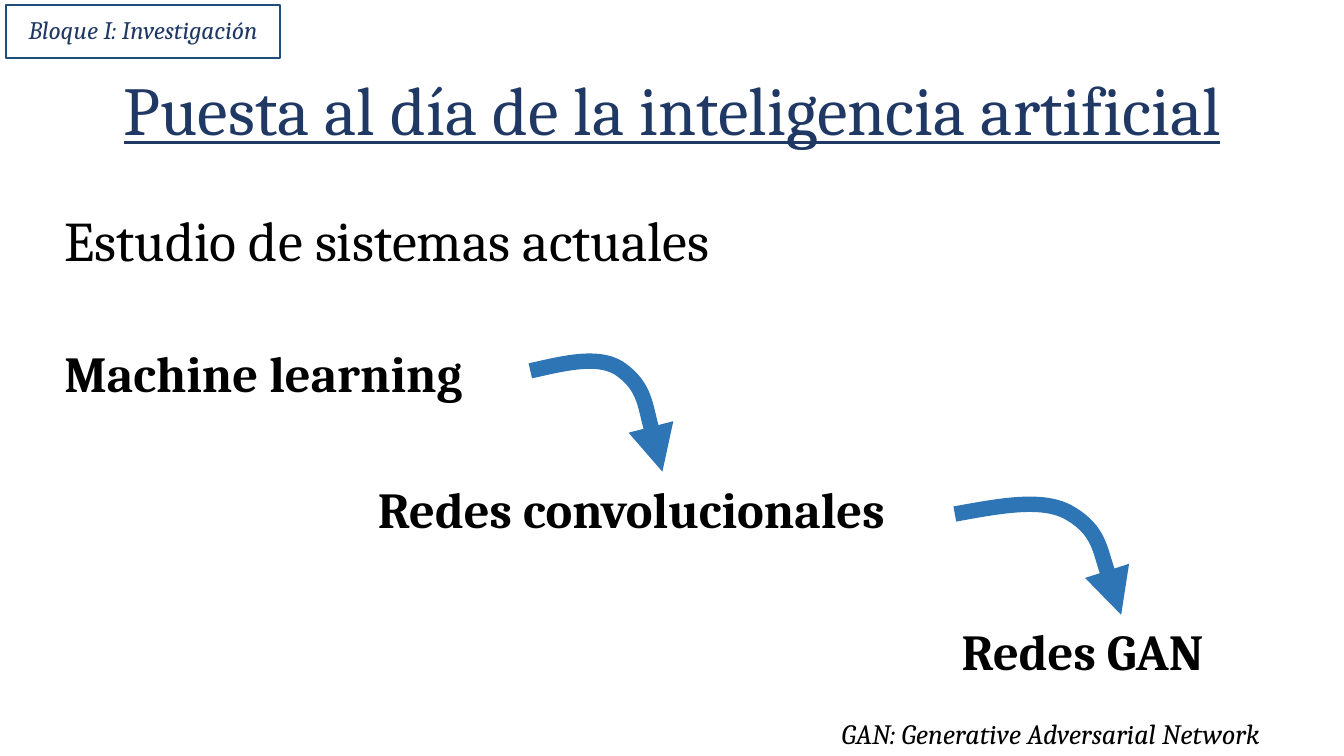
from typing import NamedTuple

from lxml.etree import SubElement
from pptx import Presentation
from pptx.dml.color import RGBColor
from pptx.enum.shapes import MSO_SHAPE
from pptx.enum.text import MSO_ANCHOR, MSO_AUTO_SIZE, PP_ALIGN
from pptx.oxml.ns import qn
from pptx.util import Inches, Pt

FONT = "Cambria"
BLACK = RGBColor(0x00, 0x00, 0x00)
NAVY = RGBColor(0x20, 0x38, 0x64)
MID_BLUE = RGBColor(0x2F, 0x55, 0x97)
ARROW_BLUE = RGBColor(0x2E, 0x75, 0xB6)
BORDER_BLUE = RGBColor(0x1F, 0x4E, 0x79)


class Label(NamedTuple):
    text: str
    left: float
    top: float
    width: float
    height: float
    size: int
    bold: bool = False
    italic: bool = False


class CurvedArrow(NamedTuple):
    left: float
    top: float
    width: float


LABELS = [
    Label("Estudio de sistemas actuales", 0.54, 1.99, 12.35, 0.77, 40),
    Label("Machine learning", 0.54, 3.34, 4.79, 0.71, 36, bold=True),
    Label("Redes convolucionales", 3.65, 4.69, 5.79, 0.71, 36, bold=True),
    Label("Redes GAN", 9.44, 6.1, 3.35, 0.71, 36, bold=True),
    Label("GAN: Generative Adversarial Network", 8.25, 7.06, 5.42, 0.44, 20, italic=True),
]
ARROWS = [CurvedArrow(5.26, 3.68, 1.31), CurvedArrow(9.47, 5.1, 1.65)]
# Two Bezier segments: x as a share of the arrow width, y in inches
CURVE = [(0.27, -0.08), (0.54, -0.17), (0.7, 0), (0.87, 0.17), (0.96, 0.81), (1, 1)]


def add_label(s, label: Label) -> None:
    box = map(Inches, (label.left, label.top, label.width, label.height))
    tf = s.shapes.add_textbox(*box).text_frame
    tf.word_wrap = True
    tf.auto_size = MSO_AUTO_SIZE.SHAPE_TO_FIT_TEXT
    r = tf.paragraphs[0].add_run()
    r.text = label.text
    r.font.name, r.font.size = FONT, Pt(label.size)
    r.font.bold, r.font.italic = label.bold, label.italic
    r.font.color.rgb = BLACK


def add_heading(tf, text: str, size: int):
    """Write one centred line with the navy gradient and return its font."""
    tf.word_wrap = True
    tf.auto_size = MSO_AUTO_SIZE.NONE
    tf.vertical_anchor = MSO_ANCHOR.MIDDLE
    p = tf.paragraphs[0]
    p.alignment = PP_ALIGN.CENTER
    p.line_spacing = 0.9
    r = p.add_run()
    r.text = text
    r.font.name, r.font.size = FONT, Pt(size)
    fill = r.font.fill
    fill.gradient()
    fill.gradient_angle = 0
    for stop, color in zip(fill.gradient_stops, (NAVY, MID_BLUE)):
        stop.color.rgb = color
    return r.font


def add_curved_arrow(s, arrow: CurvedArrow) -> None:
    builder = s.shapes.build_freeform(Inches(arrow.left), Inches(arrow.top))
    points = [(Inches(arrow.left + x * arrow.width), Inches(arrow.top + y)) for x, y in CURVE]
    builder.add_line_segments(points, close=False)
    sp = builder.convert_to_shape()
    sp.shadow.inherit = False
    sp.fill.background()
    sp.line.color.rgb = ARROW_BLUE
    sp.line.width = Pt(11)
    SubElement(sp.line._get_or_add_ln(), qn("a:tailEnd"), type="triangle")

    # Every three straight steps become the points of one Bezier segment
    outline = next(sp._element.iter(qn("a:path")))
    steps = outline.findall(qn("a:lnTo"))
    for i in range(0, len(steps), 3):
        bezier = SubElement(outline, qn("a:cubicBezTo"))
        for step in steps[i:i + 3]:
            bezier.append(step[0])
            outline.remove(step)


def main() -> None:
    prs = Presentation()
    prs.slide_width, prs.slide_height = Inches(13.33), Inches(7.5)
    s = prs.slides.add_slide(prs.slide_layouts[5])

    title = s.shapes.title
    title.left, title.top = Inches(0.54), Inches(0.4)
    title.width, title.height = Inches(12.25), Inches(1.45)
    add_heading(title.text_frame, "Puesta al día de la inteligencia artificial", 49).underline = True

    for label in LABELS:
        add_label(s, label)
    for arrow in ARROWS:
        add_curved_arrow(s, arrow)

    tag = s.shapes.add_shape(MSO_SHAPE.RECTANGLE, Inches(0.06), Inches(0.05), Inches(2.72), Inches(0.53))
    tag.shadow.inherit = False
    tag.fill.background()
    tag.line.color.rgb = BORDER_BLUE
    tag.line.width = Pt(1.5)
    add_heading(tag.text_frame, "Bloque I: Investigación", 18).italic = True

    prs.save("out.pptx")


if __name__ == "__main__":
    main()
